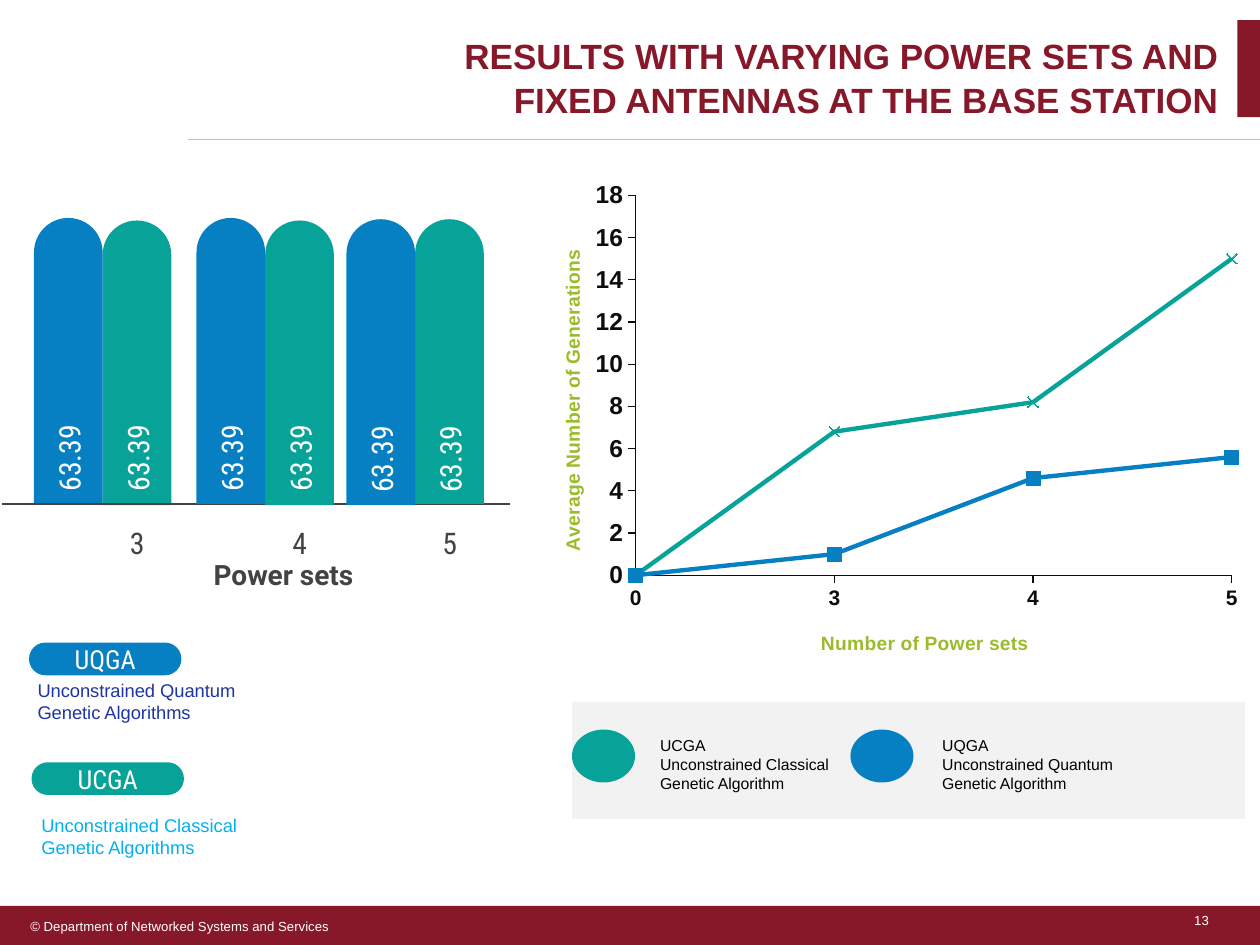
from lxml.etree import SubElement
from pptx import Presentation
from pptx.chart.data import CategoryChartData
from pptx.dml.color import RGBColor
from pptx.enum.chart import XL_CHART_TYPE as ChartType, XL_MARKER_STYLE as Marker, XL_TICK_MARK as Tick
from pptx.enum.shapes import MSO_CONNECTOR as Connector, MSO_SHAPE as Shape
from pptx.enum.text import MSO_ANCHOR as Anchor, PP_ALIGN as Align
from pptx.oxml.ns import qn
from pptx.util import Inches, Pt

COLUMNS, ROWS = 100, 75
MAROON, TEAL, BLUE, GREEN = "871829", "07A398", "0680C3", "9CBB2C"
DARK, BLACK, WHITE = "434343", "0D0D0D", "FFFFFF"
CONDENSED = "Roboto Condensed"


def color(hex_string):
    return RGBColor.from_string(hex_string)


def set_font(font, size, hex_string, bold=False, name="Arial"):
    font.size, font.bold, font.name = Pt(size), bold, name
    font.color.rgb = color(hex_string)


def set_layout(parent, inner=False, **shares):
    """Place a chart part by shares (x, y, w, h) of the chart's size."""
    layout = parent.find(qn("c:layout"))
    if layout is None:
        layout = parent.makeelement(qn("c:layout"), {})
        parent.insert(0, layout)
    manual = SubElement(layout, qn("c:manualLayout"))
    if inner:
        SubElement(manual, qn("c:layoutTarget"), val="inner")
    for mode in ("xMode", "yMode"):
        SubElement(manual, qn("c:" + mode), val="edge")
    for key, share in shares.items():
        SubElement(manual, qn("c:" + key), val=str(share))


class SlideBuilder:
    """Draws on one slide; places are (left, top, width, height) in grid cells."""

    def __init__(self, presentation):
        self.slide = presentation.slides.add_slide(presentation.slide_layouts[5])
        self.shapes = self.slide.shapes
        self.column = presentation.slide_width / COLUMNS
        self.row = presentation.slide_height / ROWS

    def place(self, at):
        units = (self.column, self.row) * 2
        return [round(length * unit) for length, unit in zip(at, units)]

    def add_lines(self, shape, lines, size, hex_string, bold=False, name="Arial",
                  align=Align.LEFT, anchor=Anchor.TOP, inset=None):
        frame = shape.text_frame
        frame.word_wrap = True
        frame.vertical_anchor = anchor
        if inset is not None:
            frame.margin_left = frame.margin_right = Inches(inset)
            frame.margin_top = frame.margin_bottom = Inches(inset)
        for index, line in enumerate(lines):
            paragraph = frame.add_paragraph() if index else frame.paragraphs[0]
            paragraph.alignment = align
            run = paragraph.add_run()
            run.text = line
            set_font(run.font, size, hex_string, bold, name)
        return frame

    def title(self, at, text):
        title = self.shapes.title
        title.left, title.top, title.width, title.height = self.place(at)
        frame = self.add_lines(title, [text], 20, MAROON, bold=True, align=Align.RIGHT)
        frame.paragraphs[0].line_spacing = 1.05

    def block(self, kind, at, fill, adjustments=()):
        shape = self.shapes.add_shape(kind, *self.place(at))
        shape.shadow.inherit = False
        shape.fill.solid()
        shape.fill.fore_color.rgb = color(fill)
        shape.line.fill.background()
        for index, value in enumerate(adjustments):
            shape.adjustments[index] = value
        return shape

    def text(self, at, lines, *style, rotation=0, **options):
        box = self.shapes.add_textbox(*self.place(at))
        box.rotation = rotation
        return self.add_lines(box, lines, *style, **options)

    def label(self, at, text, size, hex_string, name=CONDENSED, align=Align.CENTER, **options):
        self.text(at, [text], size, hex_string, name=name, align=align,
                  anchor=Anchor.MIDDLE, inset=0.1, **options)

    def rule(self, left, right, top, hex_string):
        x1, y, x2, _ = self.place((left, top, right, 0))
        line = self.shapes.add_connector(Connector.STRAIGHT, x1, y, x2, y)
        line.line.color.rgb = color(hex_string)
        line.line.width = Pt(0.75)
        SubElement(line.element.spPr, qn("a:effectLst"))

    def pill(self, at, text, fill):
        shape = self.block(Shape.ROUNDED_RECTANGLE, at, fill, [0.5])
        self.add_lines(shape, [text], 15, WHITE, name=CONDENSED, align=Align.CENTER,
                       anchor=Anchor.MIDDLE, inset=0.1)

    def bar_pair(self, left, blue_box, teal_box, label_top, category):
        """Blue and teal bars side by side; each box is (top, height)."""
        width = 5.45
        bars = ((left + width, teal_box, TEAL), (left, blue_box, BLUE))
        for x, (top, height), fill in bars:
            self.block(Shape.ROUND_2_SAME_RECTANGLE, (x, top, width, height), fill, [0.5, 0])
        for x, _, _ in bars:
            self.label((x - 3, label_top, 11.5, 2.7), "63.39", 17, WHITE,
                       align=Align.LEFT, rotation=270)
        self.label((left, 41.5, 16.4, 3.1), category, 17, DARK)

    def line_chart(self, at, categories, series_styles):
        data = CategoryChartData()
        data.categories = categories
        for name, values, *_ in series_styles:
            data.add_series(name, values)
        chart = self.shapes.add_chart(ChartType.LINE_MARKERS, *self.place(at), data).chart
        chart.has_legend = chart.has_title = False
        set_font(chart.font, 18, GREEN)
        chart.plots[0].vary_by_categories = False
        for series, (_, _, fill, marker, size) in zip(chart.plots[0].series, series_styles):
            series.smooth = False
            series.format.line.color.rgb = color(fill)
            series.format.line.width = Pt(2.5)
            series.marker.style, series.marker.size = marker, size
            series.marker.format.fill.solid()
            series.marker.format.fill.fore_color.rgb = color(fill)
            series.marker.format.line.color.rgb = color(fill)
        self.axis(chart.category_axis, "Number of Power sets", 12, x=0.4, y=0.9)
        value_axis = chart.value_axis
        value_axis.minimum_scale, value_axis.maximum_scale, value_axis.major_unit = 0, 18, 2
        self.axis(value_axis, "Average Number of Generations", 14, x=0.04, y=0.15)
        body = value_axis.axis_title.element.find(".//" + qn("a:bodyPr"))
        body.set("rot", "-5400000")
        body.set("vert", "horz")
        plot_area = chart.element.find(".//" + qn("c:plotArea"))
        set_layout(plot_area, inner=True, x=0.15, y=0.05, w=0.82, h=0.75)
        self.start_on_axis(plot_area.find(qn("c:valAx")))

    @staticmethod
    def start_on_axis(value_axis):
        """Let the first category sit on the value axis."""
        crossing = value_axis.find(qn("c:crossBetween"))
        if crossing is None:
            crossing = value_axis.makeelement(qn("c:crossBetween"), {})
            value_axis.find(qn("c:crosses")).addnext(crossing)
        crossing.set("val", "midCat")

    @staticmethod
    def axis(axis, title, size, **title_shares):
        axis.has_major_gridlines = False
        axis.major_tick_mark, axis.minor_tick_mark = Tick.OUTSIDE, Tick.NONE
        axis.format.line.color.rgb = color(BLACK)
        axis.format.line.width = Pt(0.75)
        set_font(axis.tick_labels.font, size, BLACK, bold=True)
        run = axis.axis_title.text_frame.paragraphs[0].add_run()
        run.text = title
        set_font(run.font, 11, GREEN, bold=True)
        set_layout(axis.axis_title.element, **title_shares)


def main():
    presentation = Presentation()
    presentation.slide_width, presentation.slide_height = Inches(10), Inches(7.5)
    page = SlideBuilder(presentation)

    page.block(Shape.RECTANGLE, (98.2, 1.6, 1.9, 7.7), MAROON)
    footer = page.block(Shape.RECTANGLE, (0, 71.9, 100.1, 3.2), MAROON)
    frame = page.add_lines(footer, ["© Department of Networked Systems and Services"], 7.5, WHITE,
                           anchor=Anchor.MIDDLE)
    frame.margin_left = Inches(0.24)
    page.rule(14.9, 100.1, 11.1, "BFBFBF")
    page.text((93.8, 71.9, 3.3, 2.3), ["13"], 7.5, WHITE).word_wrap = False
    page.title((29.3, 2.1, 68.4, 7.3),
               "RESULTS WITH VARYING POWER SETS AND FIXED ANTENNAS AT THE BASE STATION")

    page.pill((2.5, 60.5, 12.1, 2.6), "UCGA", TEAL)
    page.pill((2.3, 51, 12.1, 2.6), "UQGA", BLUE)
    page.text((2, 53.4, 21.6, 4.5), ["Unconstrained Quantum Genetic Algorithms"], 10.5, "1E35A1")
    page.text((2.3, 64.1, 19.9, 4.5), ["Unconstrained Classical Genetic Algorithms"], 10.5, "00B0F0")

    page.bar_pair(2.7, (17.3, 22.7), (17.5, 22.6), 32.9, "3")
    page.rule(0.2, 40.5, 40, DARK)
    page.bar_pair(15.6, (17.3, 22.7), (17.5, 22.6), 32.9, "4")
    page.bar_pair(27.5, (17.4, 22.7), (17.4, 22.6), 33, "5")
    page.label((13.6, 43.5, 17.8, 4.2), "Power sets", 16, DARK, name="Roboto", bold=True)

    page.line_chart((41.8, 13.5, 57.7, 40.2), ["0", "3", "4", "5"], [
        ("Series 1", (0, 6.8, 8.2, 15), TEAL, Marker.X, 6),
        ("Series 2", (0, 1, 4.6, 5.6), BLUE, Marker.SQUARE, 8),
    ])

    page.block(Shape.RECTANGLE, (45.4, 55.7, 53.4, 9.3), "F2F2F2")
    legend = ((45.4, 51.4, TEAL, "UCGA", "Classical"), (67.5, 73.8, BLUE, "UQGA", "Quantum"))
    for dot_left, text_left, fill, short_name, kind in legend:
        page.block(Shape.OVAL, (dot_left, 57.9, 5, 4.2), fill)
        page.text((text_left, 57.9, 16.4, 5.6),
                  [short_name, f"Unconstrained {kind} Genetic Algorithm"], 9, "000000")

    presentation.save("out.pptx")


if __name__ == "__main__":
    main()
